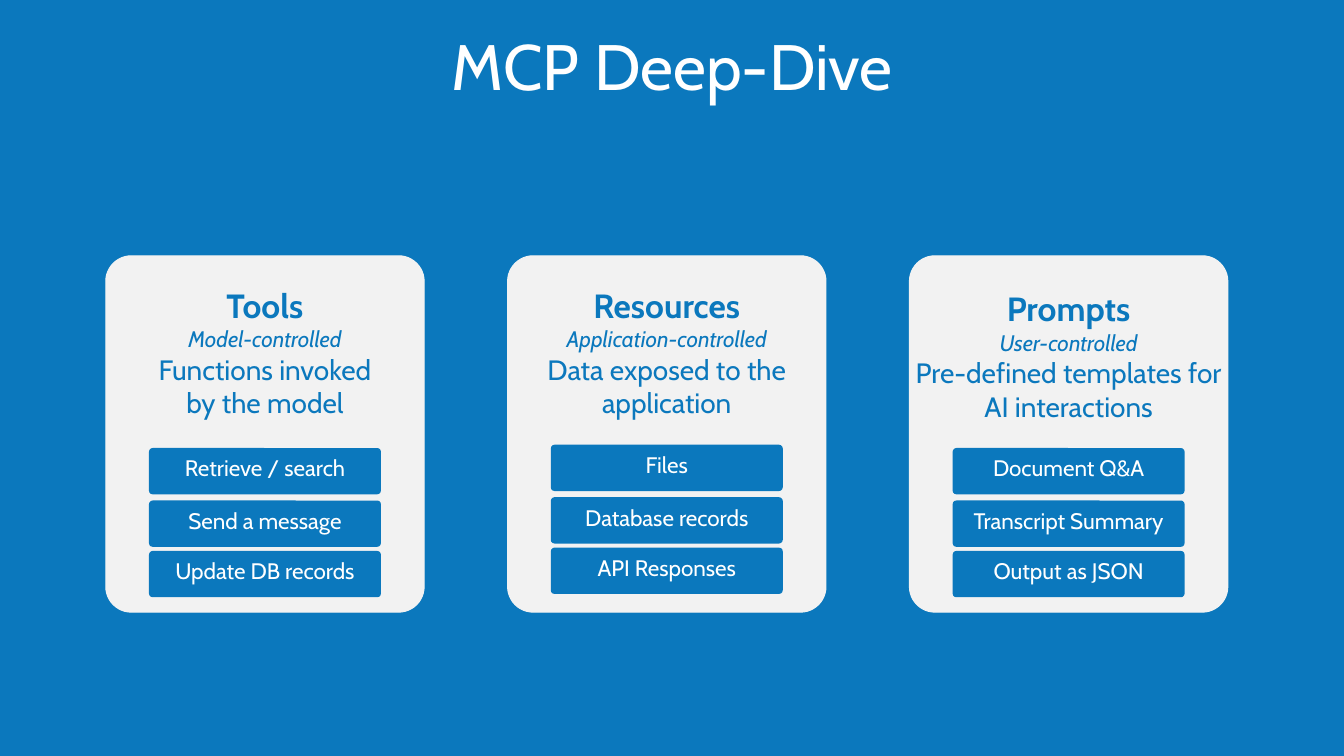
from pptx import Presentation
from pptx.dml.color import RGBColor
from pptx.enum.shapes import MSO_SHAPE
from pptx.enum.text import MSO_ANCHOR, PP_ALIGN
from pptx.util import Cm, Pt

BLUE = RGBColor(0x0B, 0x78, 0xBD)
WHITE = RGBColor(0xFF, 0xFF, 0xFF)
LIGHT = RGBColor(0xF2, 0xF2, 0xF2)
FONT = "Cabin"

# Heading, controller, description lines, examples, text offset, examples offset
CARDS = [
    ("Tools", "Model-controlled", ["Functions invoked", "by the model"],
     ["Retrieve / search", "Send a message", "Update DB records"], 0.71, 4.65),
    ("Resources", "Application-controlled", ["Data exposed to the application"],
     ["Files", "Database records", "API Responses"], 0.71, 4.57),
    ("Prompts", "User-controlled", ["Pre-defined templates for AI interactions"],
     ["Document Q&A", "Transcript Summary", "Output as JSON"], 0.79, 4.65),
]
EXAMPLE_STEPS = (0, 1.27, 2.49)


def write(para, text, size, color, bold=False, italic=False):
    para.alignment = PP_ALIGN.CENTER
    span = para.add_run()
    span.text = text
    font = span.font
    font.name, font.size, font.color.rgb = FONT, Pt(size), color
    font.bold, font.italic = bold, italic


def prepare_frame(box, inset):
    frame = box.text_frame
    frame.word_wrap = True
    frame.vertical_anchor = MSO_ANCHOR.TOP
    frame.margin_left = frame.margin_right = Cm(inset)
    frame.margin_top = frame.margin_bottom = Cm(inset)
    return frame


def add_rounded(shapes, left, top, width, height, fill):
    box = shapes.add_shape(MSO_SHAPE.ROUNDED_RECTANGLE,
                           Cm(left), Cm(top), Cm(width), Cm(height))
    box.adjustments[0] = 0.08
    box.shadow.inherit = False
    box.fill.solid()
    box.fill.fore_color.rgb = fill
    box.line.fill.background()
    return box


def add_title(page, text, left, top, width, height):
    title = page.shapes.title
    title.left, title.top = Cm(left), Cm(top)
    title.width, title.height = Cm(width), Cm(height)
    title.text_frame.vertical_anchor = MSO_ANCHOR.MIDDLE
    para = title.text_frame.paragraphs[0]
    para.line_spacing = 0.9
    write(para, text, 44, WHITE)


def add_card(page, card, left, top, width, height):
    heading, controller, description, examples, text_offset, examples_offset = card
    shapes = page.shapes.add_group_shape().shapes

    # Panel
    panel = add_rounded(shapes, left, top, width, height, LIGHT)
    panel.line.color.rgb = LIGHT
    panel.line.width = Pt(0.75)

    # Heading and description
    box = shapes.add_textbox(Cm(left), Cm(top + text_offset), Cm(width), Cm(3.28))
    frame = prepare_frame(box, 0)
    write(frame.paragraphs[0], heading, 23, BLUE, bold=True)
    write(frame.add_paragraph(), controller, 15.4, BLUE, italic=True)
    for line in description:
        write(frame.add_paragraph(), line, 19.2, BLUE)

    # Examples
    example_width = 5.61
    example_left = left + (width - example_width) / 2
    for text, step in zip(examples, EXAMPLE_STEPS):
        example = add_rounded(shapes, example_left, top + examples_offset + step,
                              example_width, 1.12, BLUE)
        write(prepare_frame(example, 0.13).paragraphs[0], text, 15.4, WHITE)


def main():
    deck = Presentation()
    deck.slide_width, deck.slide_height = Cm(32.51), Cm(18.29)
    page = deck.slides.add_slide(deck.slide_layouts[5])
    page.background.fill.solid()
    page.background.fill.fore_color.rgb = BLUE

    add_title(page, "MCP Deep-Dive", 1.57, 0.69, 29.39, 1.98)
    for index, card in enumerate(CARDS):
        add_card(page, card, 2.56 + index * 9.72, 6.19, 7.7, 8.62)
    deck.save("out.pptx")


if __name__ == "__main__":
    main()
